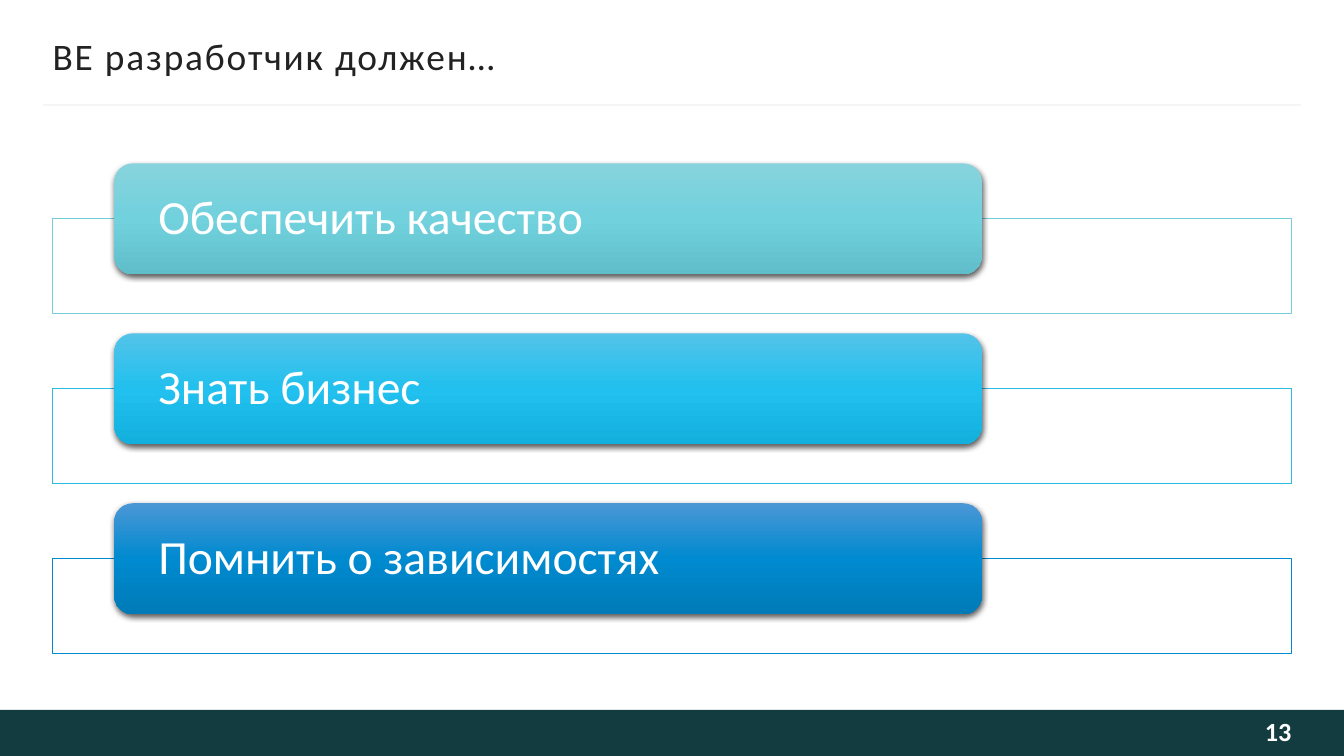
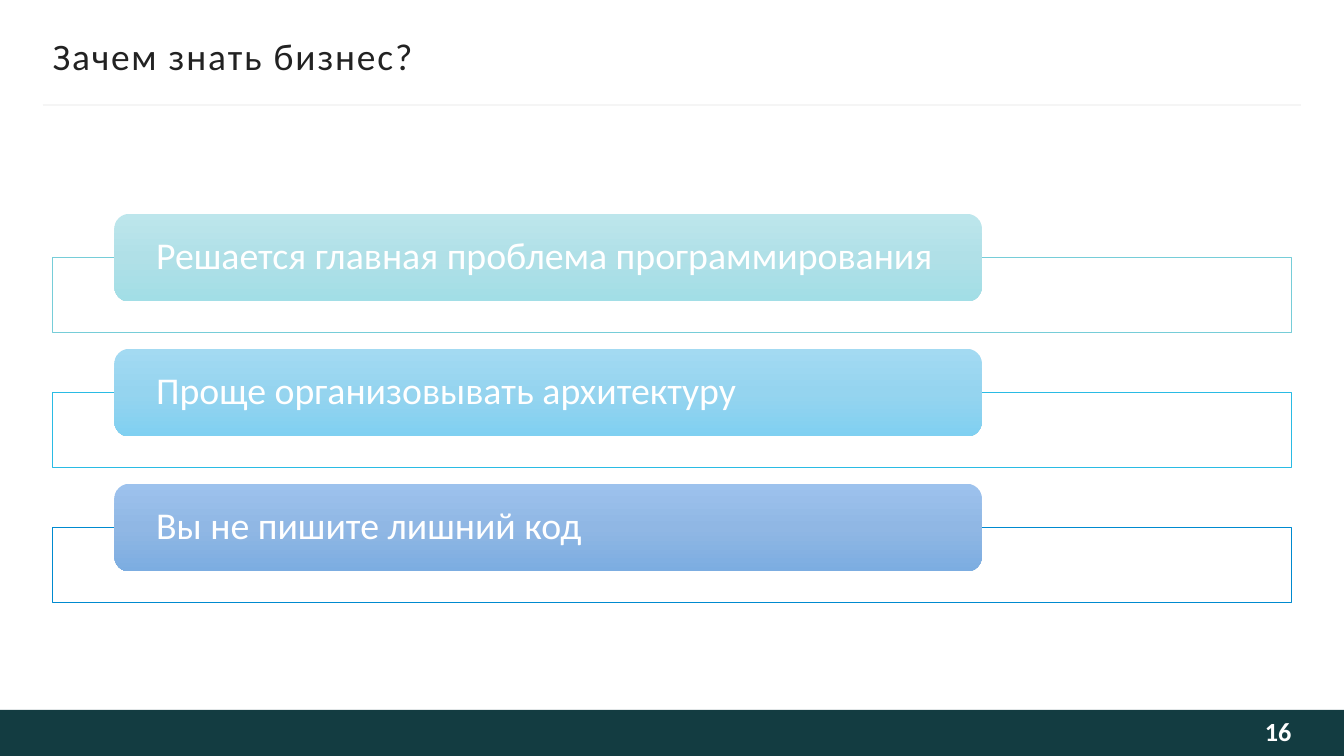
from copy import deepcopy
from dataclasses import dataclass

from lxml.etree import SubElement
from pptx import Presentation
from pptx.dml.color import RGBColor
from pptx.enum.shapes import MSO_CONNECTOR, MSO_SHAPE
from pptx.enum.text import MSO_ANCHOR, PP_ALIGN
from pptx.oxml.ns import qn
from pptx.shapes.autoshape import Shape
from pptx.slide import Slide
from pptx.util import Pt

FONT = "Calibri"
WHITE = RGBColor(0xFF, 0xFF, 0xFF)
INK = RGBColor(0x22, 0x22, 0x22)
NUMBER_COLOR = RGBColor(0xFE, 0xFE, 0xFE)
BAND_COLOR = RGBColor(0x13, 0x3C, 0x41)
RULE_COLOR = RGBColor(0xF5, 0xF5, 0xF5)
FRAME_COLORS = (
    RGBColor(0x76, 0xCD, 0xD8),
    RGBColor(0x2A, 0xBB, 0xE4),
    RGBColor(0x00, 0x8A, 0xCF),
)

Gradient = tuple[RGBColor, RGBColor, RGBColor]
STRONG_GRADIENTS: tuple[Gradient, ...] = (
    (RGBColor(0x87, 0xD3, 0xDD), RGBColor(0x71, 0xD1, 0xDD), RGBColor(0x5F, 0xBE, 0xCA)),
    (RGBColor(0x53, 0xC3, 0xE9), RGBColor(0x21, 0xC0, 0xEE), RGBColor(0x13, 0xB0, 0xDE)),
    (RGBColor(0x4B, 0x97, 0xD6), RGBColor(0x00, 0x8A, 0xCF), RGBColor(0x00, 0x7B, 0xB8)),
)
PALE_GRADIENTS: tuple[Gradient, ...] = (
    (RGBColor(0xBD, 0xE6, 0xEC), RGBColor(0xB0, 0xE0, 0xE7), RGBColor(0xA2, 0xDE, 0xE6)),
    (RGBColor(0xA3, 0xDA, 0xF2), RGBColor(0x95, 0xD4, 0xEF), RGBColor(0x80, 0xD0, 0xF1)),
    (RGBColor(0x9D, 0xC2, 0xED), RGBColor(0x90, 0xB7, 0xE4), RGBColor(0x7C, 0xAD, 0xE1)),
)

SLIDE_WIDTH, SLIDE_HEIGHT = 960, 540
BAND_TOP = 507
BAND_HEIGHT = SLIDE_HEIGHT - BAND_TOP
CONTENT_LEFT, CONTENT_WIDTH = 37.5, 885
LABEL_LEFT, LABEL_WIDTH = 81.75, 619.5


@dataclass(frozen=True)
class ListStyle:
    """Measures of a label list, in points."""

    top: float
    pitch: float
    label_height: float
    frame_offset: float
    frame_height: float
    text_size: float
    text_inset: float
    gradients: tuple[Gradient, ...]
    shadowed: bool


@dataclass(frozen=True)
class ListSlide:
    title: str
    number: int
    labels: tuple[str, ...]
    style: ListStyle


LARGE = ListStyle(116.7, 121.4, 79.2, 39.4, 67.7, 34, 27.5, STRONG_GRADIENTS, True)
SMALL = ListStyle(152.8, 96.4, 62.6, 31.2, 53.5, 27, 26.7, PALE_GRADIENTS, False)

SLIDES = (
    ListSlide(
        "BE разработчик должен…",
        13,
        ("Обеспечить качество", "Знать бизнес", "Помнить о зависимостях"),
        LARGE,
    ),
    ListSlide(
        "Зачем знать бизнес?",
        16,
        (
            "Решается главная проблема программирования",
            "Проще организовывать архитектуру",
            "Вы не пишите лишний код",
        ),
        SMALL,
    ),
)


def write(
    box: Shape,
    text: str,
    *,
    size: float,
    color: RGBColor,
    insets: tuple[float, float, float, float] = (0, 0, 0, 0),
    align: PP_ALIGN = PP_ALIGN.LEFT,
    bold: bool = False,
    line_spacing: float = 1.0,
    tracking: float = 0,
) -> None:
    """Fill the box with one paragraph; insets run left, top, right, bottom."""
    frame = box.text_frame
    frame.word_wrap = True
    frame.vertical_anchor = MSO_ANCHOR.MIDDLE
    (frame.margin_left, frame.margin_top,
     frame.margin_right, frame.margin_bottom) = map(Pt, insets)
    para = frame.paragraphs[0]
    para.alignment = align
    para.line_spacing = line_spacing
    span = para.add_run()
    span.text = text
    span.font.name = FONT
    span.font.size = Pt(size)
    span.font.bold = bold
    span.font.color.rgb = color
    if tracking:
        span.font._element.set("spc", str(round(tracking * 100)))


def add_text(
    page: Slide, left: float, top: float, width: float, height: float
) -> Shape:
    return page.shapes.add_textbox(Pt(left), Pt(top), Pt(width), Pt(height))


def add_plain_shape(
    page: Slide, kind: MSO_SHAPE, left: float, top: float, width: float, height: float
) -> Shape:
    """Add a shape with neither outline nor shadow."""
    shape = page.shapes.add_shape(kind, Pt(left), Pt(top), Pt(width), Pt(height))
    shape.shadow.inherit = False
    shape.line.fill.background()
    return shape


def fill_solid(shape: Shape, color: RGBColor, opacity: int = 100) -> None:
    shape.fill.solid()
    shape.fill.fore_color.rgb = color
    if opacity < 100:
        color_node = shape._element.spPr.find(f"{qn('a:solidFill')}/{qn('a:srgbClr')}")
        SubElement(color_node, qn("a:alpha"), val=str(opacity * 1000))


def fill_gradient(shape: Shape, colors: Gradient) -> None:
    """Blend three colours from top to bottom."""
    shape.fill.gradient()
    shape.fill.gradient_angle = 270
    stop_list = shape._element.spPr.find(f"{qn('a:gradFill')}/{qn('a:gsLst')}")
    stop_list.insert(1, deepcopy(stop_list[0]))
    for index, (stop, color) in enumerate(zip(shape.fill.gradient_stops, colors)):
        stop.position = index / 2
        stop.color.rgb = color


def add_drop_shadow(shape: Shape) -> None:
    effects = shape._element.spPr.find(qn("a:effectLst"))
    shadow = SubElement(
        effects, qn("a:outerShdw"), blurRad=str(Pt(4.5)), dist=str(Pt(1.5)),
        dir="5400000", rotWithShape="0",
    )
    color_node = SubElement(shadow, qn("a:srgbClr"), val="000000")
    SubElement(color_node, qn("a:alpha"), val="63000")


def add_title_rule(page: Slide) -> None:
    rule = page.shapes.add_connector(
        MSO_CONNECTOR.STRAIGHT, Pt(30.7), Pt(75), Pt(929), Pt(75)
    )
    rule.line.color.rgb = RULE_COLOR
    rule.line.width = Pt(1.5)
    SubElement(rule._element.spPr, qn("a:effectLst"))


def add_base(page: Slide, title: str, number: int) -> None:
    """Draw the band, rule, title and number that every slide has."""
    band = add_plain_shape(
        page, MSO_SHAPE.RECTANGLE, 0, BAND_TOP, SLIDE_WIDTH, BAND_HEIGHT
    )
    fill_solid(band, BAND_COLOR)
    add_title_rule(page)
    write(
        add_text(page, CONTENT_LEFT, 24, CONTENT_WIDTH, 32), title,
        size=26.7, color=INK, insets=(0, 3.6, 0, 3.6), tracking=1.3,
    )
    write(
        add_text(page, 778.5, BAND_TOP, 144, BAND_HEIGHT), str(number),
        size=18.7, color=NUMBER_COLOR, insets=(7.2, 3.6, 0, 6.5),
        align=PP_ALIGN.RIGHT, bold=True,
    )


def add_label_list(page: Slide, labels: tuple[str, ...], style: ListStyle) -> None:
    rows = zip(labels, FRAME_COLORS, style.gradients)
    for index, (text, frame_color, gradient) in enumerate(rows):
        top = style.top + index * style.pitch
        frame = add_plain_shape(
            page, MSO_SHAPE.RECTANGLE, CONTENT_LEFT, top + style.frame_offset,
            CONTENT_WIDTH, style.frame_height,
        )
        fill_solid(frame, WHITE, opacity=90)
        frame.line.color.rgb = frame_color
        frame.line.width = Pt(0.5)

        label = add_plain_shape(
            page, MSO_SHAPE.ROUNDED_RECTANGLE, LABEL_LEFT, top,
            LABEL_WIDTH, style.label_height,
        )
        fill_gradient(label, gradient)
        if style.shadowed:
            add_drop_shadow(label)
        write(
            label, text, size=style.text_size, color=WHITE,
            insets=(style.text_inset, 0, style.text_inset, 0), line_spacing=0.9,
        )


def main() -> None:
    deck = Presentation()
    deck.slide_width, deck.slide_height = Pt(SLIDE_WIDTH), Pt(SLIDE_HEIGHT)
    blank_layout = deck.slide_layouts[6]
    for content in SLIDES:
        page = deck.slides.add_slide(blank_layout)
        add_base(page, content.title, content.number)
        add_label_list(page, content.labels, content.style)
    deck.save("out.pptx")


if __name__ == "__main__":
    main()
